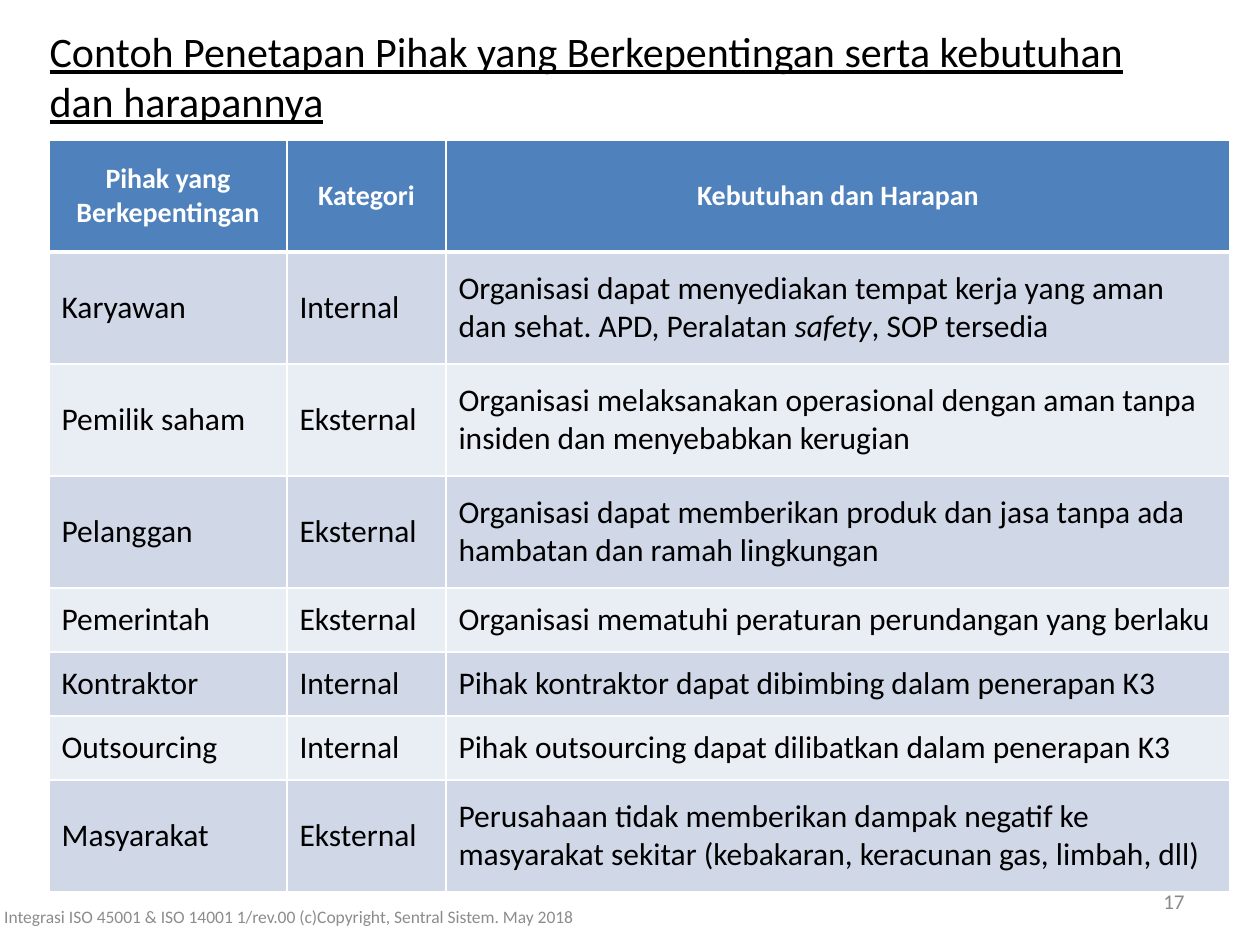
"""Build a slide with a table of interested parties, their needs and expectations."""
from typing import NamedTuple

from lxml import etree
from pptx import Presentation
from pptx.dml.color import RGBColor
from pptx.enum.text import MSO_ANCHOR, MSO_AUTO_SIZE, PP_ALIGN
from pptx.oxml.ns import qn
from pptx.util import Pt

EMU_PER_PX = 914400 // 126
LEFT, CENTER, RIGHT = PP_ALIGN.LEFT, PP_ALIGN.CENTER, PP_ALIGN.RIGHT
TOP, MIDDLE = MSO_ANCHOR.TOP, MSO_ANCHOR.MIDDLE
NO_AUTOFIT = MSO_AUTO_SIZE.NONE
FONT = "Calibri"
COLORS = {
    "text": "000000",
    "white": "FFFFFF",
    "header": "4F81BD",
    "odd": "D0D8E8",
    "even": "E9EDF4",
    "number": "898989",
    "footer": "8C8C8C",
}


class Box(NamedTuple):
    left: int
    top: int
    width: int
    height: int


class Party(NamedTuple):
    name: str
    category: str
    needs: str
    height: int


TITLE = "Contoh Penetapan Pihak yang Berkepentingan serta kebutuhan dan harapannya"
FOOTER = "Integrasi ISO 45001 & ISO 14001 1/rev.00 (c)Copyright, Sentral Sistem. May 2018"
TALL, SHORT = 112, 64
COL_WIDTHS = (238, 159, 784)
ROWS = (
    Party("Pihak yang Berkepentingan", "Kategori", "Kebutuhan dan Harapan", TALL),
    Party("Karyawan", "Internal",
          "Organisasi dapat menyediakan tempat kerja yang aman dan sehat. "
          "APD, Peralatan *safety*, SOP tersedia", TALL),
    Party("Pemilik saham", "Eksternal",
          "Organisasi melaksanakan operasional dengan aman tanpa insiden "
          "dan menyebabkan kerugian", TALL),
    Party("Pelanggan", "Eksternal",
          "Organisasi dapat memberikan produk dan jasa tanpa ada hambatan "
          "dan ramah lingkungan", TALL),
    Party("Pemerintah", "Eksternal",
          "Organisasi mematuhi peraturan perundangan yang berlaku", SHORT),
    Party("Kontraktor", "Internal",
          "Pihak kontraktor dapat dibimbing dalam penerapan K3", SHORT),
    Party("Outsourcing", "Internal",
          "Pihak outsourcing dapat dilibatkan dalam penerapan K3", SHORT),
    Party("Masyarakat", "Eksternal",
          "Perusahaan tidak memberikan dampak negatif ke masyarakat sekitar "
          "(kebakaran, keracunan gas, limbah, dll)", TALL),
)


def px(n: int) -> int:
    return n * EMU_PER_PX


def rgb(name: str) -> RGBColor:
    return RGBColor.from_string(COLORS[name])


def write(tf, text: str, *, size: int, color: str = "text", align=LEFT,
          bold: bool = False, underline: bool = False) -> None:
    """Write one paragraph, with the parts between asterisks in italics."""
    p = tf.paragraphs[0]
    p.alignment = align
    for i, part in enumerate(text.split("*")):
        r = p.add_run()
        r.text = part
        font = r.font
        font.name, font.size, font.bold = FONT, Pt(size), bold
        font.italic, font.underline = i % 2 == 1, underline
        font.color.rgb = rgb(color)


def place(sp, box: Box) -> None:
    sp.left, sp.top, sp.width, sp.height = map(px, box)


def add_text(slide, box: Box, text: str, **fmt) -> None:
    sp = slide.shapes.add_textbox(*map(px, box))
    tf = sp.text_frame
    tf.word_wrap = True
    tf.vertical_anchor = MIDDLE
    write(tf, text, **fmt)


def add_borders(cell, top: int, bottom: int) -> None:
    tc_pr = cell._tc.get_or_add_tcPr()
    for side, width in (("L", 1), ("R", 1), ("T", top), ("B", bottom)):
        ln = etree.SubElement(tc_pr, qn(f"a:ln{side}"), w=str(Pt(width)))
        fill = etree.SubElement(ln, qn("a:solidFill"))
        etree.SubElement(fill, qn("a:srgbClr"), val=COLORS["white"])


def add_party_table(slide, left: int, top: int) -> None:
    box = Box(left, top, sum(COL_WIDTHS), sum(row.height for row in ROWS))
    table = slide.shapes.add_table(len(ROWS), len(COL_WIDTHS), *map(px, box)).table
    for col, width in zip(table.columns, COL_WIDTHS):
        col.width = px(width)
    for i, party in enumerate(ROWS):
        table.rows[i].height = px(party.height)
        header = i == 0
        fill = "header" if header else "odd" if i % 2 else "even"
        fmt = (dict(size=16, color="white", align=CENTER, bold=True)
               if header else dict(size=18))
        for cell, text in zip(table.rows[i].cells, party[:3]):
            add_borders(cell, top=3 if i == 1 else 1, bottom=3 if header else 1)
            cell.fill.solid()
            cell.fill.fore_color.rgb = rgb(fill)
            cell.vertical_anchor = MIDDLE
            write(cell.text_frame, text, **fmt)


def main() -> None:
    prs = Presentation()
    prs.slide_width, prs.slide_height = px(1260), px(945)
    slide = prs.slides.add_slide(prs.slide_layouts[5])
    title = slide.shapes.title
    place(title, Box(37, 19, 1160, 115))
    tf = title.text_frame
    tf.word_wrap = True
    tf.auto_size = NO_AUTOFIT
    tf.vertical_anchor = TOP
    write(tf, TITLE, size=24, underline=True)
    add_party_table(slide, 49, 140)
    add_text(slide, Box(903, 876, 294, 50), "17", size=12, color="number", align=RIGHT)
    add_text(slide, Box(-24, 892, 625, 50), FOOTER, size=10, color="footer", align=CENTER)
    prs.save("out.pptx")


if __name__ == "__main__":
    main()
